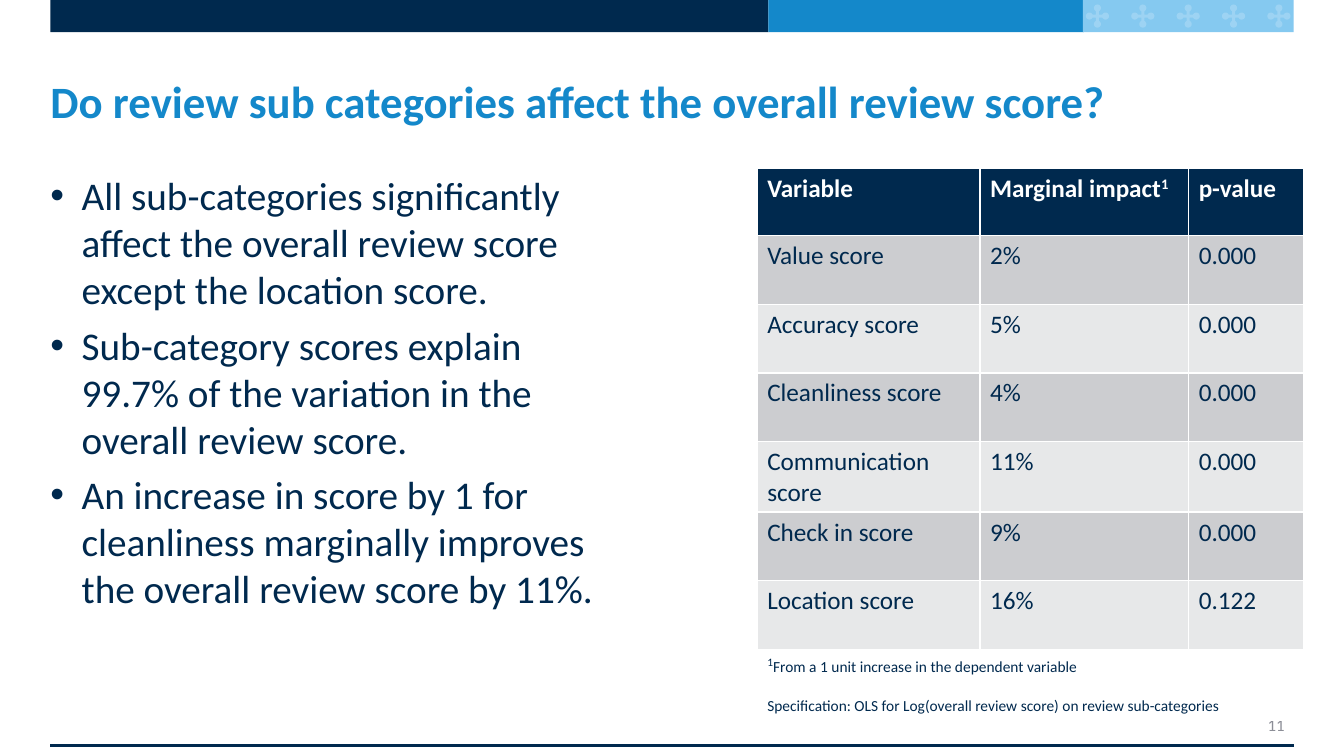
import math
import pptx
import pptx.util
import pptx.dml.color
import pptx.enum.shapes
import pptx.enum.text
import pptx.oxml.xmlchemy
from lxml import etree

Inches = pptx.util.Inches
Pt = pptx.util.Pt
TEXT = pptx.enum.text
COLORS = {"navy": "00294E", "blue": "1488CA", "sky": "85C9F0", "white": "FFFFFF",
          "gray": "8C8E97", "dark": "CCCDD0", "light": "E7E8E9"}
NS = "{http://schemas.openxmlformats.org/drawingml/2006/main}"


def paint(shape, color):
    shape.fill.solid()
    shape.fill.fore_color.rgb = pptx.dml.color.RGBColor.from_string(COLORS[color])
    shape.line.fill.background()
    shape.shadow.inherit = False


def style(para, size, color, bold=False):
    para.font.name = "Calibri"
    para.font.size = Pt(size)
    para.font.bold = bold
    para.font.color.rgb = pptx.dml.color.RGBColor.from_string(COLORS[color])


deck = pptx.Presentation()
deck.slide_width, deck.slide_height = Inches(13.33), Inches(7.5)
slide = deck.slides.add_slide(deck.slide_layouts[1])
shapes = slide.shapes

# Top band
for left, width, color in [(0.5, 7.12, "navy"), (7.62, 3.13, "blue"), (10.74, 2.09, "sky")]:
    band = shapes.add_shape(pptx.enum.shapes.MSO_SHAPE.RECTANGLE,
                            Inches(left), 0, Inches(width), Inches(0.32))
    paint(band, color)

# Round-ended crosses on the sky band
half, lobe, reach = 0.015, 0.035, 0.08
sweep = math.pi - math.asin(half / lobe)
arm = [(reach + lobe * math.cos(t), lobe * math.sin(t))
       for t in [sweep * step / 8 for step in range(-8, 9)]] + [(half, half)]
turns = [(1, 0), (0, 1), (-1, 0), (0, -1)]
for col in range(5):
    mid = 10.885 + 0.45 * col
    points = [(Inches(mid + x * c - y * s), Inches(0.16 + x * s + y * c))
              for c, s in turns for x, y in arm]
    pen = shapes.build_freeform(*points[0])
    pen.add_line_segments(points[1:])
    cross = pen.convert_to_shape()
    paint(cross, "white")
    tint = cross.fill._xPr.find(f".//{NS}srgbClr")
    etree.SubElement(tint, NS + "alpha", val="20000")

# Bottom rule
rule = shapes.add_connector(pptx.enum.shapes.MSO_CONNECTOR.STRAIGHT,
                            Inches(0.5), Inches(7.4), Inches(12.83), Inches(7.4))
rule.line.color.rgb = pptx.dml.color.RGBColor.from_string(COLORS["navy"])
rule.line.width = Pt(2.25)
etree.SubElement(rule.line._get_or_add_ln().getparent(), NS + "effectLst")

# Title and bullets
title, body = shapes.title, slide.placeholders[1]
for holder, box in [(title, (0.5, 0.5, 12.33, 1)), (body, (0.5, 1.7, 5.69, 5.06))]:
    holder.left, holder.top, holder.width, holder.height = map(Inches, box)
    frame = holder.text_frame
    frame.margin_left = frame.margin_top = frame.margin_right = frame.margin_bottom = 0
    frame.auto_size = TEXT.MSO_AUTO_SIZE.NONE
    frame.word_wrap = True

title.text_frame.text = "Do review sub categories affect the overall review score?"
title.text_frame.vertical_anchor = TEXT.MSO_ANCHOR.MIDDLE
head = title.text_frame.paragraphs[0]
head.alignment = TEXT.PP_ALIGN.LEFT
style(head, 32, "blue", True)

body.text_frame.text = "\n".join([
    "All sub-categories significantly affect the overall review score except the location score.",
    "Sub-category scores explain 99.7% of the variation in the overall review score.",
    "An increase in score by 1 for cleanliness marginally improves the overall review score by 11%.",
])
for para in body.text_frame.paragraphs:
    style(para, 28, "navy")
    para.space_before, para.space_after = Pt(0), Pt(6)
    props = para._p.get_or_add_pPr()
    props.set("marL", str(Inches(0.31)))
    props.set("indent", str(-Inches(0.31)))

# Page number
page = shapes.add_textbox(Inches(11.67), Inches(6.98), Inches(1.17), Inches(0.42)).text_frame
page.word_wrap = True
page.vertical_anchor = TEXT.MSO_ANCHOR.MIDDLE
page.text = "11"
page.paragraphs[0].alignment = TEXT.PP_ALIGN.RIGHT
style(page.paragraphs[0], 12, "gray")

# Score table
rows = [
    ("Variable", "Marginal impact", "p-value"),
    ("Value score", "2%", "0.000"),
    ("Accuracy score", "5%", "0.000"),
    ("Cleanliness score", "4%", "0.000"),
    ("Communication score", "11%", "0.000"),
    ("Check in score", "9%", "0.000"),
    ("Location score", "16%", "0.122"),
]
table = shapes.add_table(len(rows) + 1, 3, Inches(7.51), Inches(1.67),
                         Inches(5.42), Inches(5.43)).table
for col, width in zip(table.columns, (2.21, 2.07, 1.14)):
    col.width = Inches(width)
for r, row in enumerate(table.rows):
    row.height = Inches(0.68 if r else 0.67)
for r, values in enumerate(rows):
    fill = ("light", "dark")[r % 2] if r else "navy"
    for c, value in enumerate(values):
        cell = table.cell(r, c)
        cell.text = value
        cell.fill.solid()
        cell.fill.fore_color.rgb = pptx.dml.color.RGBColor.from_string(COLORS[fill])
        style(cell.text_frame.paragraphs[0], 18, "navy" if r else "white", r == 0)

# Footnotes in the merged last row
foot = table.cell(len(rows), 0)
foot.merge(table.cell(len(rows), 2))
for cell in table.rows[len(rows)].cells:
    cell.fill.background()
note = foot.text_frame.paragraphs[0]
mark = note.add_run()
mark.text = "1"
mark.font.size = Pt(14)
note.add_run().text = "From a 1 unit increase in the dependent variable"
spec_note = foot.text_frame.add_paragraph()
spec_note.text = "Specification: OLS for Log(overall review score) on review sub-categories"
spec_note.space_before = Pt(13.4)
for para in (note, spec_note):
    style(para, 11, "navy")

# Superscript footnote marks
sign = table.cell(0, 1).text_frame.paragraphs[0].add_run()
sign.text = "1"
for run in (sign, mark):
    run.font._element.set("baseline", "30000")

deck.save("out.pptx")
